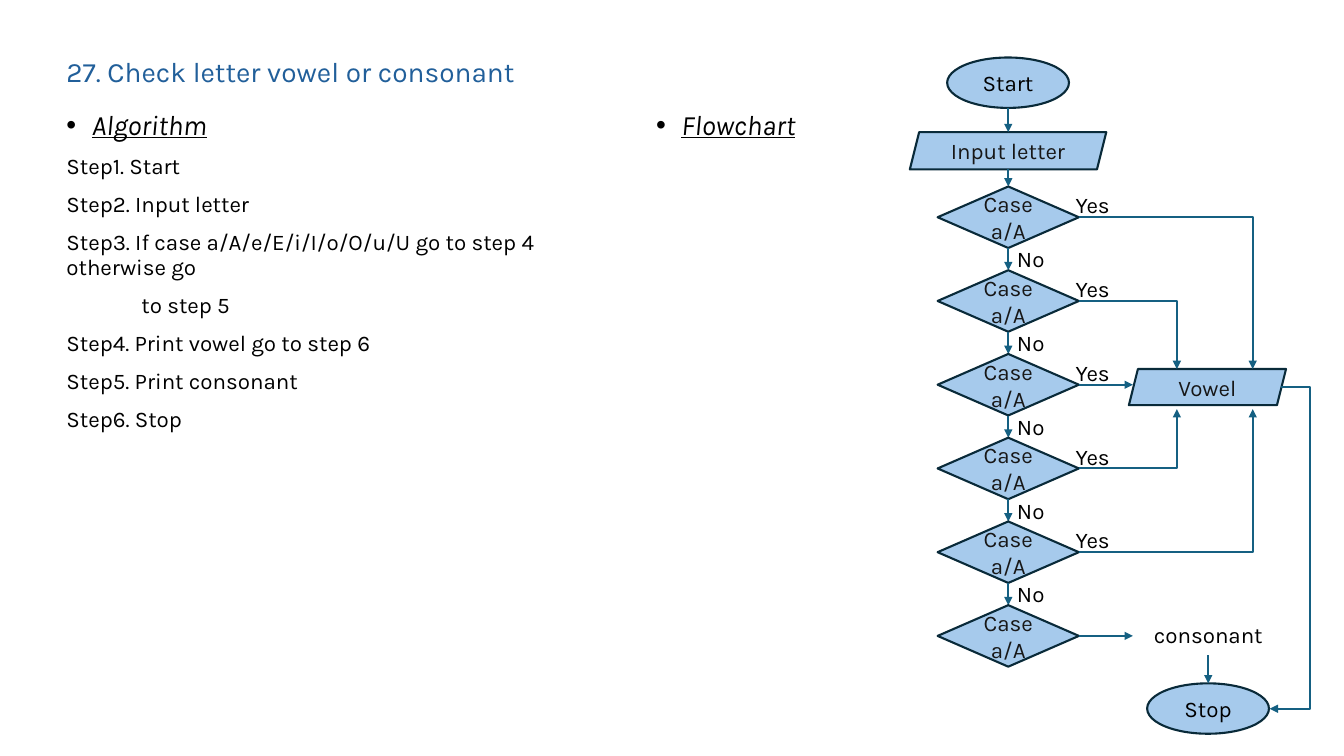
from lxml import etree
from pptx import Presentation
from pptx import util as u
from pptx.dml import color
from pptx.enum import shapes, text
from pptx.oxml import ns

Cm, Pt = u.Cm, u.Pt
COLORS = {"title": "215F9A", "ink": "000000", "label": "171717",
          "fill": "A6CAEC", "outline": "092A39", "arrow": "156082"}
BODY = {"name": "Karla", "size": Pt(16), "italic": False, "underline": False}
HEADING = {"name": "Karla", "size": Pt(20), "italic": True, "underline": True}
TITLE = {"name": "Karla", "size": Pt(20), "bold": False}
STEPS = ["Step1. Start", "Step2. Input letter",
         "Step3. If case a/A/e/E/i/I/o/O/u/U go to step 4\totherwise go",
         "to step 5", "Step4. Print vowel go to step 6",
         "Step5. Print consonant", "Step6. Stop"]
CONTINUED = "to step 5"


def rgb(name):
    """Return the palette colour with this name."""
    return color.RGBColor.from_string(COLORS[name])


def style(font, values, ink="ink"):
    """Apply format values and a colour to a font."""
    for key, value in values.items():
        setattr(font, key, value)
    font.color.rgb = rgb(ink)


def add_xml(parent, tag, **attrs):
    """Append a DrawingML element to its parent."""
    return etree.SubElement(parent, ns.qn(tag), attrs)


def place(sp, x, y, w, h):
    """Move and size a shape, in centimetres."""
    for key, value in zip(("left", "top", "width", "height"), (x, y, w, h)):
        setattr(sp, key, Cm(value))


def fill_title(sp, box, words):
    """Write the slide title in its box."""
    place(sp, *box)
    tf = sp.text_frame
    tf.auto_size = text.MSO_AUTO_SIZE.NONE
    tf.vertical_anchor = text.MSO_ANCHOR.MIDDLE
    p = tf.paragraphs[0]
    p.alignment, p.line_spacing = text.PP_ALIGN.LEFT, 0.9
    r = p.add_run()
    r.text = words
    style(r.font, TITLE, "title")


def fill_list(sp, box, heading, lines=()):
    """Write a bulleted heading and the plain lines below it."""
    place(sp, *box)
    tf = sp.text_frame
    tf.auto_size = text.MSO_AUTO_SIZE.NONE
    for i, words in enumerate([heading, *lines]):
        p = tf.paragraphs[0] if i == 0 else tf.add_paragraph()
        p.line_spacing, p.space_before = 0.9, Pt(10 if i else 0)
        pPr = p._p.get_or_add_pPr()
        indent = 0 if i else 0.64
        left = 1.89 if words == CONTINUED else indent
        pPr.set("marL", str(Cm(left)))
        pPr.set("indent", str(-Cm(indent)))
        if i:
            add_xml(pPr, "a:buNone")
        else:
            add_xml(pPr, "a:buFont", typeface="Arial")
            add_xml(pPr, "a:buChar", char="•")
        if "\t" in words:
            tabs = add_xml(pPr, "a:tabLst")
            add_xml(tabs, "a:tab", pos=str(Cm(12.17)), algn="l")
        r = p.add_run()
        r.text = words
        style(r.font, BODY if i else HEADING)


def add_node(s, kind, box, words, ink="label"):
    """Add one labelled flowchart symbol."""
    sp = s.shapes.add_shape(kind, *map(Cm, box))
    sp.shadow.inherit = False
    sp.fill.solid()
    sp.fill.fore_color.rgb = rgb("fill")
    sp.line.color.rgb = rgb("outline")
    sp.line.width = Pt(1.5)
    tf = sp.text_frame
    tf.vertical_anchor = text.MSO_ANCHOR.MIDDLE
    p = tf.paragraphs[0]
    p.alignment = text.PP_ALIGN.CENTER
    r = p.add_run()
    r.text = words
    style(r.font, BODY, ink)


def add_label(s, box, words):
    """Add free text beside the symbols."""
    tf = s.shapes.add_textbox(*map(Cm, box)).text_frame
    tf.word_wrap = True
    r = tf.paragraphs[0].add_run()
    r.text = words
    style(r.font, BODY)


def add_arrow(s, x1, y1, x2, y2, via=None):
    """Add an arrow, bent at the column via when one is given."""
    kind = shapes.MSO_CONNECTOR.STRAIGHT if via is None else shapes.MSO_CONNECTOR.ELBOW
    sp = s.shapes.add_connector(kind, *map(Cm, (x1, y1, x2, y2)))
    sp.line.color.rgb = rgb("arrow")
    sp.line.width = Pt(1.5)
    spPr = sp._element.spPr
    add_xml(spPr.find(ns.qn("a:ln")), "a:tailEnd", type="triangle")
    add_xml(spPr, "a:effectLst")
    if via is not None:
        bend = round(100000 * (via - x1) / (x2 - x1))
        guides = spPr.find(ns.qn("a:prstGeom")).find(ns.qn("a:avLst"))
        add_xml(guides, "a:gd", name="adj1", fmla=f"val {bend}")


def draw_flowchart(s, left, top):
    """Draw the flowchart from the top left corner of its region."""
    kinds = shapes.MSO_SHAPE
    axis, stop_axis = left + 2.55, left + 7.59
    case_w, case_h, case_step, cases = 3.56, 1.55, 2.11, 6
    case_top, case_right = top + 3.25, axis + case_w / 2
    input_top, vowel_top, stop_top = top + 1.88, top + 7.85, top + 15.77
    vowel_left, vowel_bottom = left + 5.59, top + 8.86
    inner, outer = left + 6.8, left + 8.71
    exits = [(outer, vowel_top), (inner, vowel_top), None,
             (inner, vowel_bottom), (outer, vowel_bottom), None]

    add_node(s, kinds.OVAL, (axis - 1.54, top, 3.07, 1.27), "Start", "ink")
    add_node(s, kinds.PARALLELOGRAM, (axis - 2.48, input_top, 4.95, 0.94), "Input letter")
    add_node(s, kinds.PARALLELOGRAM, (vowel_left, vowel_top, 3.96, 0.91), "Vowel")
    add_node(s, kinds.OVAL, (stop_axis - 1.54, stop_top, 3.07, 1.27), "Stop", "ink")
    add_label(s, (left + 5.97, top + 14.07, 3.38, 0.94), "consonant")
    add_arrow(s, axis, top + 1.27, axis, input_top)
    add_arrow(s, axis, input_top + 0.94, axis, case_top)
    add_arrow(s, stop_axis, top + 15.06, stop_axis, stop_top)
    add_arrow(s, left + 9.42, top + 8.3, left + 9.14, top + 16.41, left + 10.16)

    for i, target in enumerate(exits):
        y = case_top + i * case_step
        middle = y + case_h / 2
        add_node(s, kinds.DIAMOND, (axis - case_w / 2, y, case_w, case_h), "Case a/A")
        if target:
            add_arrow(s, case_right, middle, *target, target[0])
        else:
            add_arrow(s, case_right, middle, vowel_left + 0.1, middle)
        if i < cases - 1:
            add_arrow(s, axis, y + case_h, axis, y + case_step)
            add_label(s, (left + 4, y, 2.67, 0.94), "Yes")
            add_label(s, (left + 2.52, y + 1.36, 2.41, 0.94), "No")


def main():
    """Build and save the slide."""
    prs = Presentation()
    prs.slide_width, prs.slide_height = Cm(33.87), Cm(19.05)
    s = prs.slides.add_slide(prs.slide_layouts[3])
    title, algorithm, flowchart = s.placeholders
    fill_title(title, (1.42, 1.02, 30.1, 1.68), "27. Check letter vowel or consonant")
    fill_list(algorithm, (1.42, 2.67, 15.29, 14.48), "Algorithm", STEPS)
    fill_list(flowchart, (16.28, 2.67, 4.9, 1.55), "Flowchart")
    draw_flowchart(s, 22.86, 1.45)
    prs.save("out.pptx")


if __name__ == "__main__":
    main()
